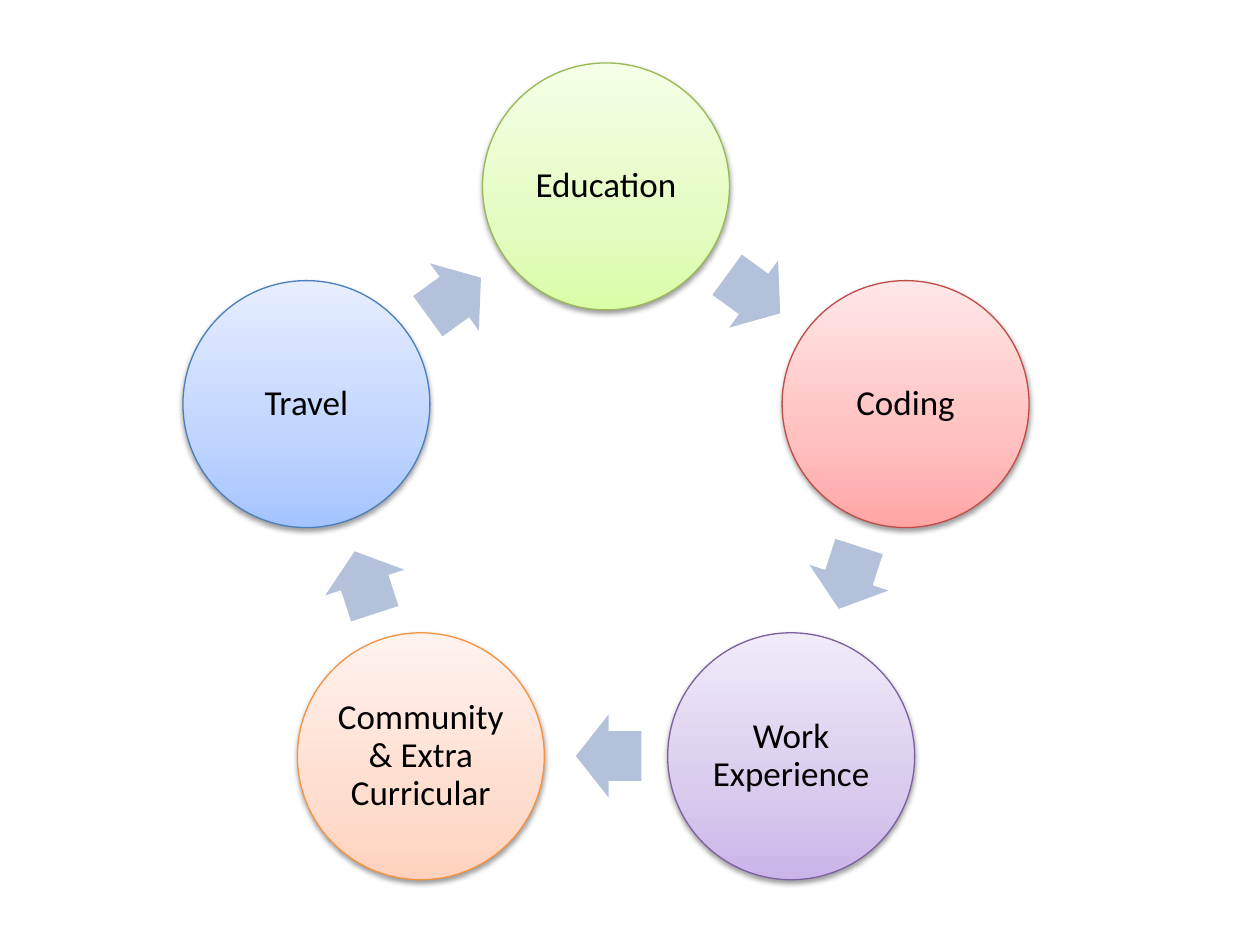
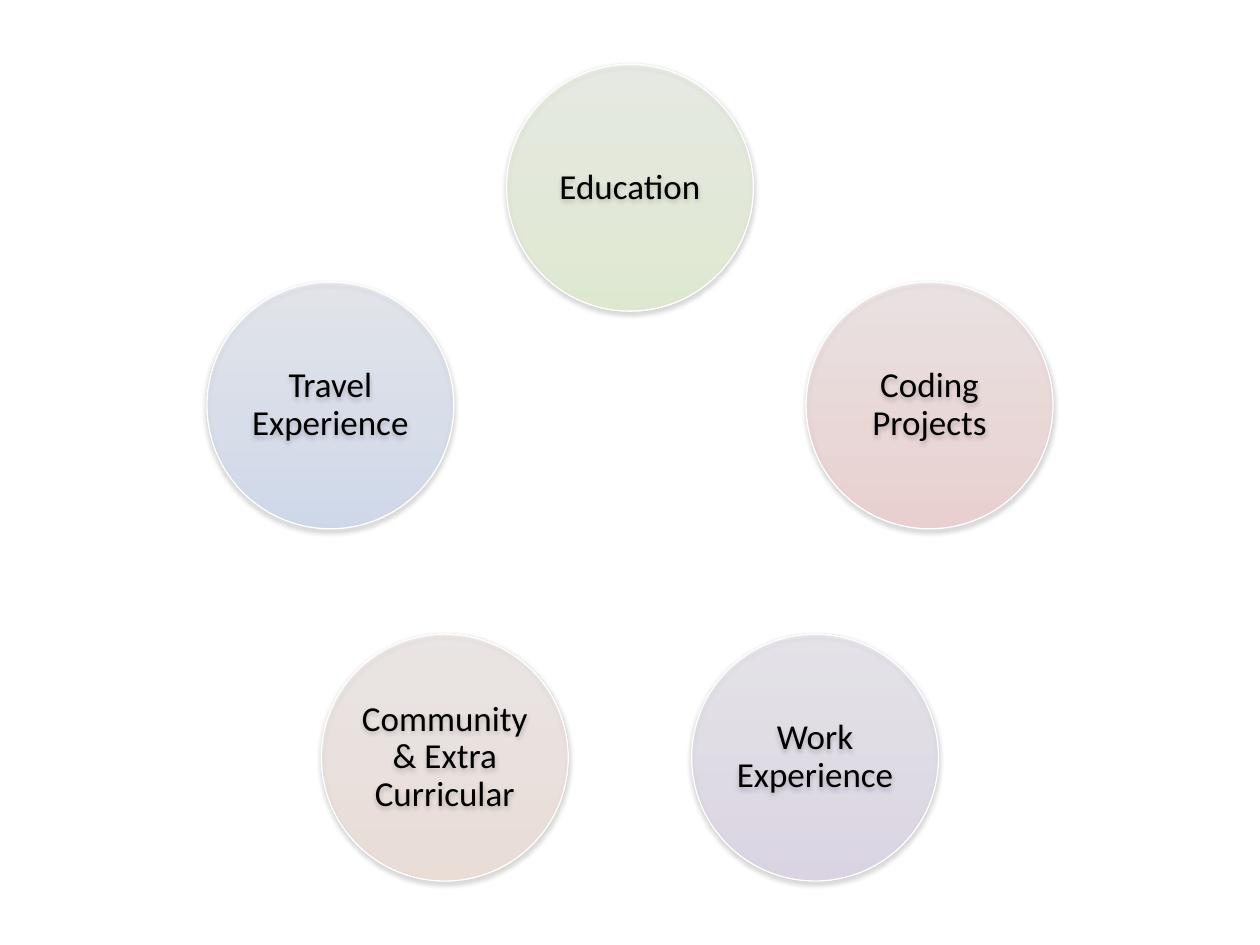
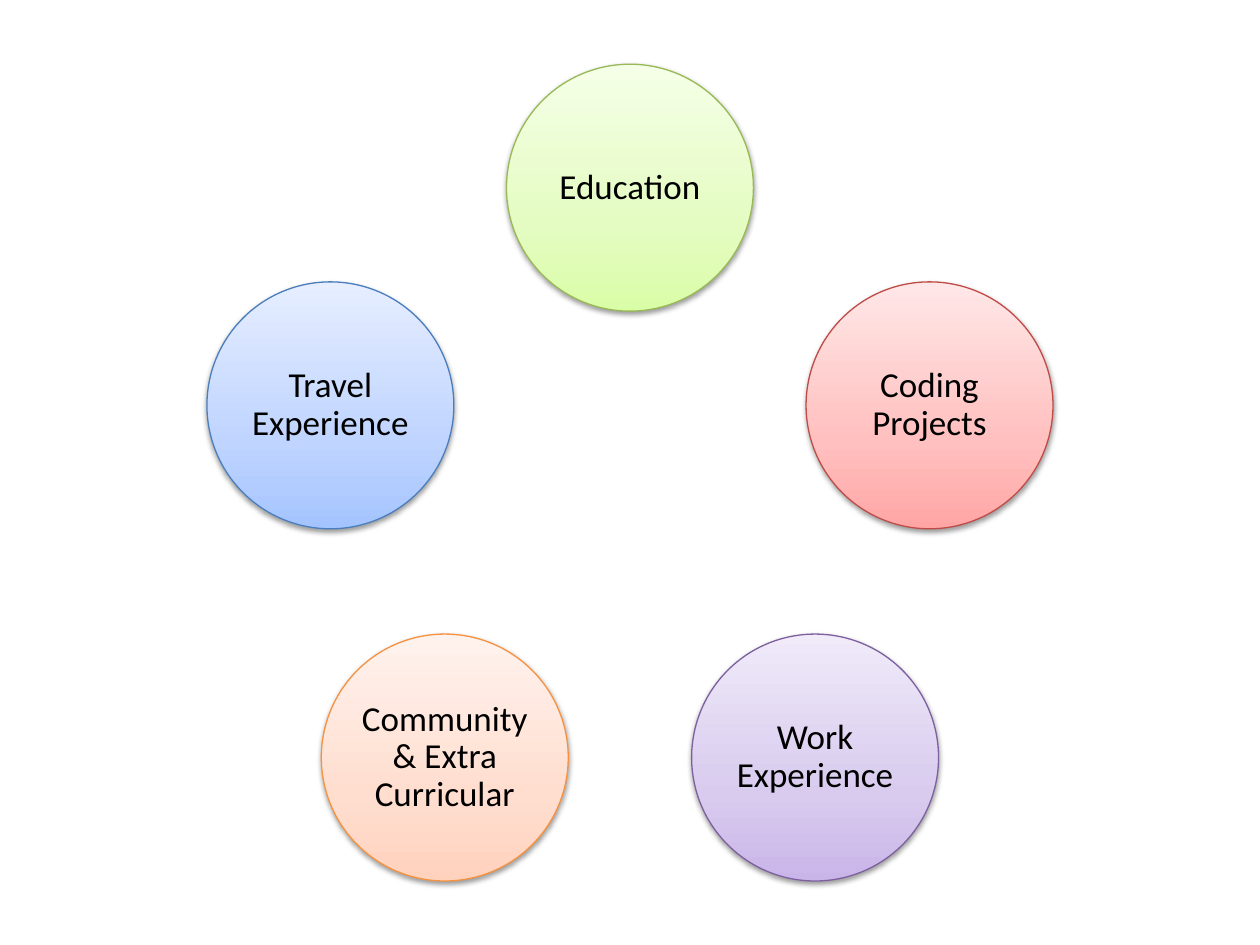
import math

from lxml import etree
from pptx import Presentation
from pptx.dml.color import RGBColor
from pptx.enum import shapes, text
from pptx.oxml import ns
from pptx.util import Inches, Pt

# Shared look
FONT = "Calibri"
BLACK = RGBColor(0x00, 0x00, 0x00)
WHITE = RGBColor(0xFF, 0xFF, 0xFF)
ARROW_BLUE = RGBColor(0xB3, 0xC1, 0xDB)

# Outline, then gradient stops from the bottom of the circle to its top
GREEN = [RGBColor.from_string(c) for c in ("98B955", "DAFDA7", "E4FCC2", "F5FFE7")]
RED = [RGBColor.from_string(c) for c in ("BF4C48", "FFA6A5", "FFC0BF", "FFE7E7")]
PURPLE = [RGBColor.from_string(c) for c in ("7D60A0", "C9B5E8", "D8CBEE", "F0EAF9")]
ORANGE = [RGBColor.from_string(c) for c in ("F69240", "FFD2BD", "FFDED0", "FFF2ED")]
BLUE = [RGBColor.from_string(c) for c in ("4B7EBC", "A4C4FF", "BFD4FF", "E6EEFF")]
TOPIC_COLORS = [GREEN, RED, PURPLE, ORANGE, BLUE]
STOP_POSITIONS = [0, 35, 100]

# Ring geometry, in inches
RING_RADIUS = 2.5
CIRCLE_SIZE = 1.96
ARROW_RADIUS = 2.02
ARROW_SETBACK = 0.02
ARROW_WIDTH, ARROW_HEIGHT = 0.52, 0.66

SHORT_TOPICS = ["Education", "Coding", "Work Experience",
                "Community & Extra Curricular", "Travel"]
FULL_TOPICS = ["Education", "Coding Projects", "Work Experience",
               "Community & Extra Curricular", "Travel Experience"]


def add_element(parent, tag, **attributes):
    """Append a DrawingML element and return it."""
    names = {key: str(value) for key, value in attributes.items()}
    return etree.SubElement(parent, ns.qn("a:" + tag), names)


def add_color(parent, color, opacity):
    element = add_element(parent, "srgbClr", val=color)
    if opacity < 100:
        add_element(element, "alpha", val=opacity * 1000)


def fill_gradient(shape, colors, opacity):
    shape.fill.gradient()
    shape.fill.gradient_angle = 90
    stops = shape.element.spPr.find(".//" + ns.qn("a:gsLst"))
    for stop in list(stops):
        stops.remove(stop)
    for position, color in zip(STOP_POSITIONS, colors):
        add_color(add_element(stops, "gs", pos=position * 1000), color, opacity)


def add_shadow(shape):
    shape.shadow.inherit = False
    effects = shape.element.spPr.find(ns.qn("a:effectLst"))
    shadow = add_element(effects, "outerShdw", blurRad=Pt(3.1), dist=Pt(1.6),
                         dir=90 * 60000, rotWithShape=0)
    add_color(shadow, BLACK, 38)


def add_centered(page, kind, x, y, width, height):
    """Add a preset shape around the point x, y."""
    return page.shapes.add_shape(kind, Inches(x - width / 2), Inches(y - height / 2),
                                 Inches(width), Inches(height))


def add_topic(page, x, y, topic, colors, opacity, outline):
    circle = add_centered(page, shapes.MSO_SHAPE.OVAL, x, y, CIRCLE_SIZE, CIRCLE_SIZE)
    fill_gradient(circle, colors, opacity)
    circle.line.color.rgb = outline
    circle.line.width = Pt(0.75)
    add_shadow(circle)

    # Label
    frame = circle.text_frame
    frame.word_wrap = True
    frame.vertical_anchor = text.MSO_ANCHOR.MIDDLE
    frame.margin_left = frame.margin_right = Inches(0.03)
    frame.margin_top = frame.margin_bottom = Inches(0.03)
    frame.text = topic
    para = frame.paragraphs[0]
    para.alignment = text.PP_ALIGN.CENTER
    para.line_spacing = 0.9
    font = para.runs[0].font
    font.name, font.size = FONT, Pt(20)
    font.color.rgb = BLACK


def add_arrow(page, center_x, center_y, degrees):
    """Add an arrow that follows the ring clockwise, at an angle from the top."""
    sine, cosine = math.sin(math.radians(degrees)), math.cos(math.radians(degrees))
    x = center_x + ARROW_RADIUS * sine - ARROW_SETBACK * cosine
    y = center_y - ARROW_RADIUS * cosine - ARROW_SETBACK * sine
    arrow = add_centered(page, shapes.MSO_SHAPE.RIGHT_ARROW, x, y,
                         ARROW_WIDTH, ARROW_HEIGHT)
    arrow.adjustments[0], arrow.adjustments[1] = 0.6, 0.5
    arrow.rotation = degrees
    arrow.fill.solid()
    arrow.fill.fore_color.rgb = ARROW_BLUE
    arrow.line.fill.background()
    arrow.shadow.inherit = False


def add_ring_page(deck, center_x, center_y, topics, arrows=False, faded=False):
    """Add a page with the topics evenly spaced on a ring."""
    page = deck.slides.add_slide(deck.slide_layouts[6])
    step = 360 / len(topics)
    for index, (topic, colors) in enumerate(zip(topics, TOPIC_COLORS)):
        angle = math.radians(index * step)
        add_topic(page, center_x + RING_RADIUS * math.sin(angle),
                  center_y - RING_RADIUS * math.cos(angle), topic, colors[1:],
                  opacity=30 if faded else 100,
                  outline=WHITE if faded else colors[0])
        if arrows:
            add_arrow(page, center_x, center_y, (index + 0.5) * step)


def main():
    deck = Presentation()
    deck.slide_width, deck.slide_height = Inches(10), Inches(7.5)
    add_ring_page(deck, 4.81, 3.98, SHORT_TOPICS, arrows=True)
    add_ring_page(deck, 5, 3.99, FULL_TOPICS, faded=True)
    add_ring_page(deck, 5, 3.99, FULL_TOPICS)
    deck.save("out.pptx")


if __name__ == "__main__":
    main()
